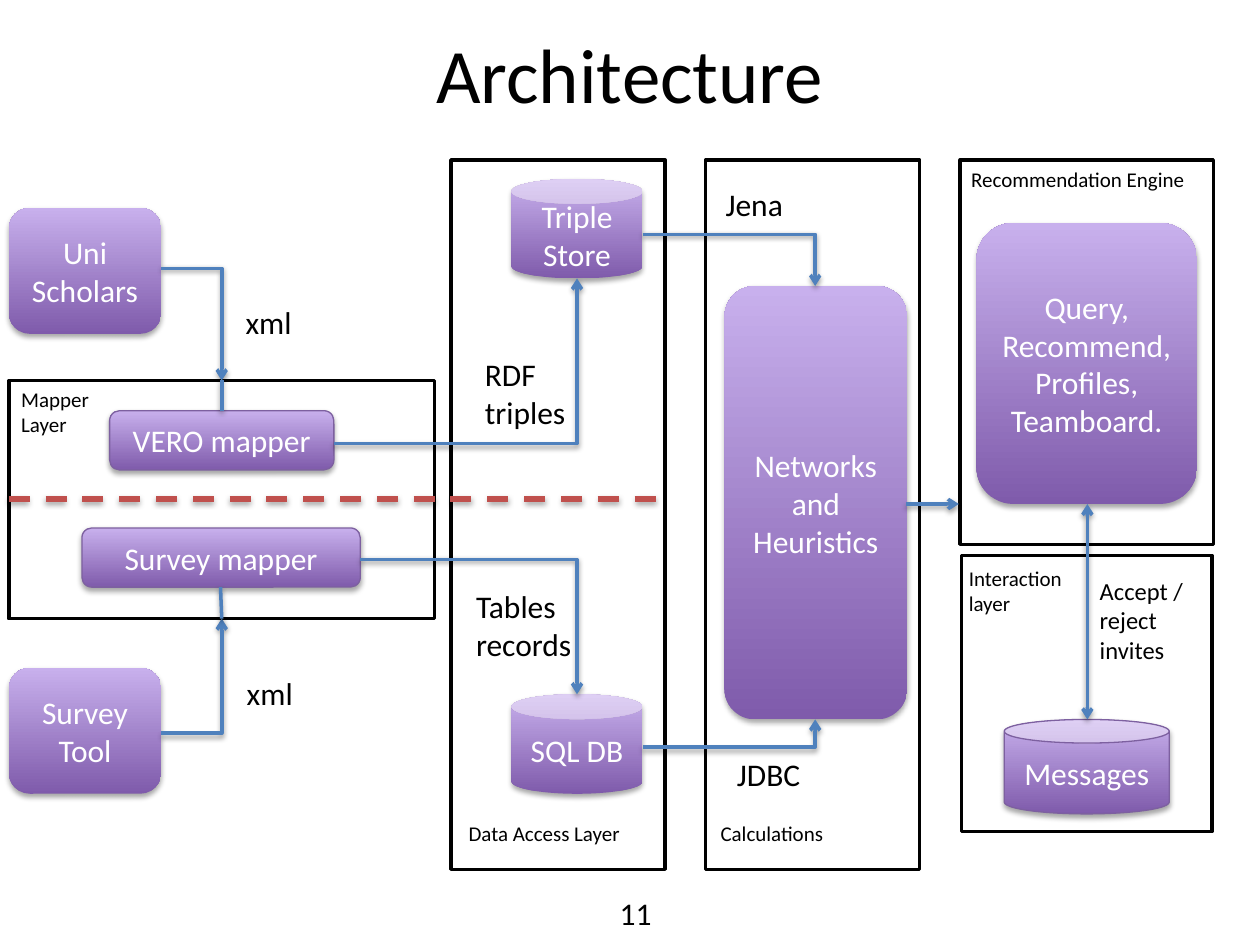
"""Build the architecture slide: layers, components and the data flows between them."""
from dataclasses import dataclass

from lxml.etree import SubElement
from pptx import Presentation
from pptx.dml.color import RGBColor as Color
from pptx.enum.dml import MSO_LINE_DASH_STYLE as Dash
from pptx.enum.shapes import MSO_CONNECTOR as Route, MSO_SHAPE as Shape
from pptx.enum.text import MSO_ANCHOR as Anchor, MSO_AUTO_SIZE as AutoSize, PP_ALIGN as Align
from pptx.oxml.ns import qn
from pptx.util import Inches, Pt


@dataclass(frozen=True)
class Theme:
    font: str = "Calibri"
    ink: Color = Color(0x00, 0x00, 0x00)
    paper: Color = Color(0xFF, 0xFF, 0xFF)
    node_dark: Color = Color(0x7F, 0x5B, 0xAB)
    node_light: Color = Color(0xC8, 0xB0, 0xED)
    node_edge: Color = Color(0x7D, 0x60, 0xA0)
    flow: Color = Color(0x4F, 0x81, 0xBD)
    divider: Color = Color(0xC0, 0x50, 0x4D)
    title: int = 44
    body: int = 18
    note: int = 14
    small: int = 12


theme = Theme()


def write(shape, text, size, color, align):
    frame = shape.text_frame
    for index, line in enumerate(text.split("\n")):
        para = frame.paragraphs[0] if index == 0 else frame.add_paragraph()
        para.alignment = align
        span = para.add_run()
        span.text = line
        span.font.name = theme.font
        span.font.size = Pt(size)
        span.font.color.rgb = color


def add_shadow(shape, distance, opacity):
    properties = shape._element.spPr
    effects = SubElement(properties, qn("a:effectLst"))
    outer = SubElement(effects, qn("a:outerShdw"), blurRad=str(Pt(3.1)),
                       dist=str(Pt(distance)), dir="5400000", rotWithShape="0")
    tint = SubElement(outer, qn("a:srgbClr"), val=str(theme.ink))
    SubElement(tint, qn("a:alpha"), val=str(opacity * 1000))


deck = Presentation()
deck.slide_width, deck.slide_height = Inches(10), Inches(7.5)
page = deck.slides.add_slide(deck.slide_layouts[5])

title = page.shapes.title
title.left, title.top = Inches(0.5), Inches(-0.05)
title.width, title.height = Inches(9), Inches(1.25)
title.text_frame.vertical_anchor = Anchor.MIDDLE
write(title, "Architecture", theme.title, theme.ink, Align.CENTER)

layers = [
    (0.07, 3.02, 3.38, 1.89),
    (3.58, 1.27, 1.7, 5.63),
    (5.6, 1.27, 1.7, 5.63),
    (7.62, 1.27, 2.01, 3.05),
    (7.63, 4.41, 1.99, 2.19),
]
for bounds in layers:
    layer = page.shapes.add_shape(Shape.RECTANGLE, *map(Inches, bounds))
    layer.fill.background()
    layer.line.color.rgb = theme.ink
    layer.line.width = Pt(2)
    layer.shadow.inherit = False

components = [
    (Shape.ROUNDED_RECTANGLE, "Uni Scholars", 0.07, 1.65, 1.21, 1, False),
    (Shape.ROUNDED_RECTANGLE, "Survey Tool", 0.07, 5.3, 1.21, 1, False),
    (Shape.ROUNDED_RECTANGLE, "VERO mapper", 0.87, 3.26, 1.78, 0.47, True),
    (Shape.ROUNDED_RECTANGLE, "Survey mapper", 0.65, 4.19, 2.21, 0.47, True),
    (Shape.CAN, "Triple Store", 4.06, 1.42, 1.04, 0.79, False),
    (Shape.CAN, "SQL DB", 4.06, 5.51, 1.04, 0.79, False),
    (Shape.ROUNDED_RECTANGLE, "Networks and Heuristics", 5.75, 2.27, 1.45, 3.44, False),
    (Shape.ROUNDED_RECTANGLE, "Query, Recommend,\nProfiles,\nTeamboard.", 7.75, 1.77, 1.75, 2.23, False),
    (Shape.CAN, "Messages", 7.97, 5.71, 1.31, 0.75, True),
]
for kind, name, left, top, width, height, outlined in components:
    node = page.shapes.add_shape(kind, Inches(left), Inches(top), Inches(width), Inches(height))
    node.fill.gradient()
    node.fill.gradient_angle = 90
    for stop, color in zip(node.fill.gradient_stops, (theme.node_dark, theme.node_light)):
        stop.color.rgb = color
    if outlined:
        node.line.color.rgb = theme.node_edge
        node.line.width = Pt(0.75)
    else:
        node.line.fill.background()
    add_shadow(node, 1.8, 35)
    node.text_frame.word_wrap = True
    node.text_frame.vertical_anchor = Anchor.MIDDLE
    write(node, name, theme.body, theme.paper, Align.CENTER)

flows = [
    (1.28, 2.13, 1.76, 3.02, ["tailEnd"]),
    (1.28, 5.82, 1.76, 4.91, ["tailEnd"]),
    (1.76, 3.02, 1.76, 3.26, []),
    (1.76, 4.91, 1.75, 4.66, []),
    (2.65, 3.52, 3.45, 3.52, []),
    (2.86, 4.44, 3.45, 4.44, []),
    (3.45, 3.52, 4.58, 2.21, ["tailEnd"]),
    (3.45, 4.44, 4.58, 5.51, ["tailEnd"]),
    (5.1, 1.86, 6.47, 2.27, ["tailEnd"]),
    (5.1, 5.93, 6.47, 5.71, ["tailEnd"]),
    (7.19, 4, 7.61, 4, ["tailEnd"]),
    (8.63, 4, 8.63, 5.71, ["headEnd", "tailEnd"]),
]
for x1, y1, x2, y2, arrows in flows:
    bent = abs(x2 - x1) > 0.1 and abs(y2 - y1) > 0.1
    flow = page.shapes.add_connector(Route.ELBOW if bent else Route.STRAIGHT,
                                     Inches(x1), Inches(y1), Inches(x2), Inches(y2))
    if bent:
        flow._element.spPr.find(qn("a:prstGeom")).set("prst", "bentConnector2")
    flow.line.color.rgb = theme.flow
    flow.line.width = Pt(2)
    for end in arrows:
        SubElement(flow.line._ln, qn(f"a:{end}"), type="arrow")
    add_shadow(flow, 1.6, 38)

labels = [
    ("Mapper Layer", 0.07, 3.02, 0.8, 0.5, theme.small),
    ("Data Access Layer", 3.62, 6.46, 1.48, 0.3, theme.small),
    ("Calculations", 5.62, 6.46, 1.65, 0.3, theme.small),
    ("Recommendation Engine", 7.61, 1.27, 1.91, 0.3, theme.small),
    ("Interaction\nlayer", 7.59, 4.44, 1.91, 0.5, theme.small),
    ("Accept / reject invites", 8.63, 4.52, 1.03, 0.81, theme.note),
    ("xml", 1.85, 2.36, 0.61, 0.4, theme.body),
    ("xml", 1.86, 5.3, 0.61, 0.4, theme.body),
    ("RDF triples", 3.75, 2.77, 1.07, 0.71, theme.body),
    ("Tables\nrecords", 3.68, 4.61, 1.07, 0.71, theme.body),
    ("Jena", 5.66, 1.42, 0.89, 0.4, theme.body),
    ("JDBC", 5.75, 5.94, 0.89, 0.4, theme.body),
    ("11", 4.82, 7.05, 0.46, 0.4, theme.body),
]
for text, left, top, width, height, size in labels:
    box = page.shapes.add_textbox(Inches(left), Inches(top), Inches(width), Inches(height))
    box.text_frame.word_wrap = True
    box.text_frame.auto_size = AutoSize.SHAPE_TO_FIT_TEXT
    write(box, text, size, theme.ink, Align.LEFT)

divider = page.shapes.add_connector(Route.STRAIGHT, Inches(0.07), Inches(3.96), Inches(5.32), Inches(3.96))
divider.line.color.rgb = theme.divider
divider.line.width = Pt(3)
divider.line.dash_style = Dash.DASH
add_shadow(divider, 1.6, 38)

deck.save("out.pptx")
